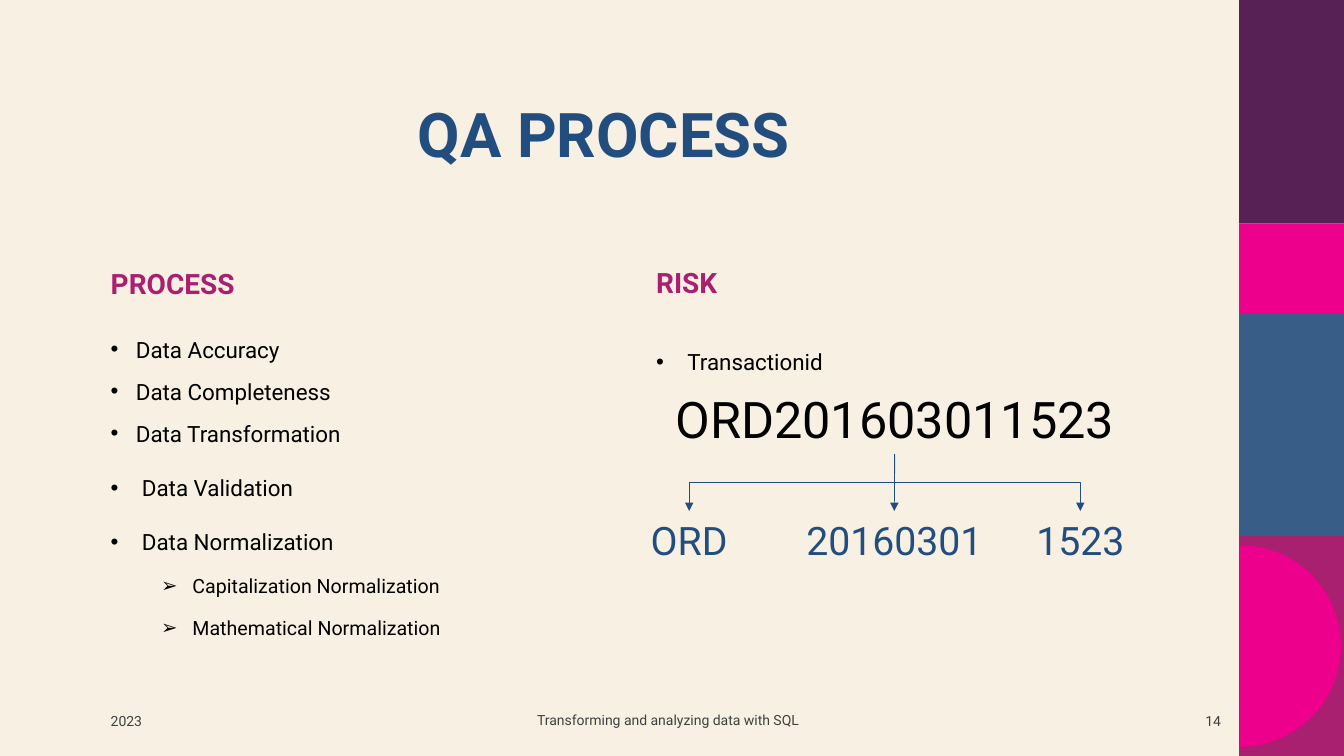
import math
from dataclasses import dataclass
from typing import Optional, Union

from lxml import etree
from pptx import Presentation
from pptx import util as u
from pptx.dml import color
from pptx.enum import shapes, text
from pptx.oxml import ns

CREAM, NAVY, BERRY = "F8F0E3", "224E7F", "AA2070"
PINK, BLACK, GRAY = "EC008C", "000000", "404040"
TOP, MIDDLE = text.MSO_ANCHOR.TOP, text.MSO_ANCHOR.MIDDLE
LEFT, CENTER, RIGHT = text.PP_ALIGN.LEFT, text.PP_ALIGN.CENTER, text.PP_ALIGN.RIGHT


@dataclass(frozen=True)
class Band:
    top: float
    height: float
    fill: str


@dataclass(frozen=True)
class Line:
    words: str
    size: int
    color: str = BLACK
    bold: bool = False
    align: text.PP_ALIGN = LEFT
    spacing: Union[float, u.Length] = 1.0
    before: int = 0
    bullet: str = ""
    margin: float = 0
    hanging: float = 0
    level: int = 0


@dataclass(frozen=True)
class Block:
    left: float
    top: float
    width: float
    height: float
    lines: tuple
    anchor: text.MSO_ANCHOR = TOP
    wrap: bool = True
    grow: bool = False


def rgb(value: str) -> color.RGBColor:
    return color.RGBColor.from_string(value)


def apply(target, values: dict) -> None:
    for name, value in values.items():
        setattr(target, name, value)


def paint(shape, fill: str) -> None:
    shape.shadow.inherit = False
    shape.fill.solid()
    shape.fill.fore_color.rgb = rgb(fill)
    shape.line.fill.background()


def write_line(paragraph, line: Line) -> None:
    apply(paragraph, {
        "alignment": line.align, "line_spacing": line.spacing,
        "space_before": u.Pt(line.before), "level": line.level,
    })
    run = paragraph.add_run()
    run.text = line.words
    apply(run.font, {"name": "Roboto", "size": u.Pt(line.size), "bold": line.bold})
    run.font.color.rgb = rgb(line.color)
    if line.bullet:
        properties = paragraph._p.get_or_add_pPr()
        properties.set("marL", str(u.Inches(line.margin)))
        properties.set("indent", str(u.Inches(-line.hanging)))
        font = etree.SubElement(properties, ns.qn("a:buFont"))
        font.set("typeface", "Arial")
        bullet = etree.SubElement(properties, ns.qn("a:buChar"))
        bullet.set("char", line.bullet)


def fill_block(shape, block: Block) -> None:
    apply(shape, {name: u.Inches(getattr(block, name))
                  for name in ("left", "top", "width", "height")})
    frame = shape.text_frame
    size = text.MSO_AUTO_SIZE.SHAPE_TO_FIT_TEXT if block.grow else text.MSO_AUTO_SIZE.NONE
    apply(frame, {"word_wrap": block.wrap, "vertical_anchor": block.anchor, "auto_size": size})
    for index, line in enumerate(block.lines):
        paragraph = frame.add_paragraph() if index else frame.paragraphs[0]
        write_line(paragraph, line)


def add_block(slide, block: Block):
    shape = slide.shapes.add_textbox(0, 0, u.Inches(1), u.Inches(1))
    fill_block(shape, block)
    return shape


def add_band(slide, band: Band) -> None:
    shape = slide.shapes.add_shape(
        shapes.MSO_SHAPE.RECTANGLE, u.Inches(12.29), u.Inches(band.top),
        u.Inches(1.11), u.Inches(band.height))
    paint(shape, band.fill)


def add_half_disc(slide, left: float, middle: float, radius: float) -> None:
    steps = 90
    angles = [math.pi * step / steps - math.pi / 2 for step in range(steps + 1)]
    points = [(u.Inches(left + radius * math.cos(angle)),
               u.Inches(middle + radius * math.sin(angle))) for angle in angles]
    builder = slide.shapes.build_freeform(*points[0])
    builder.add_line_segments(points[1:], close=True)
    paint(builder.convert_to_shape(), PINK)


def style_arrow(connector) -> None:
    connector.line.color.rgb = rgb(NAVY)
    connector.line.width = u.Pt(0.5)
    tail = etree.SubElement(connector.line._get_or_add_ln(), ns.qn("a:tailEnd"))
    tail.set("type", "triangle")
    etree.SubElement(connector._element.spPr, ns.qn("a:effectLst"))


def add_straight_arrow(slide, source, target) -> None:
    connector = slide.shapes.add_connector(shapes.MSO_CONNECTOR.STRAIGHT, 0, 0, 0, 0)
    connector.begin_connect(source, 2)
    connector.end_connect(target, 0)
    style_arrow(connector)


def add_branch(slide, start: float, end: float, top: float, bottom: float) -> None:
    center, middle = (start + end) / 2, (top + bottom) / 2
    drop, span = bottom - top, abs(end - start)
    side = 1 if end > start else -1
    connector = slide.shapes.add_connector(
        shapes.MSO_CONNECTOR.ELBOW,
        u.Inches(center + side * drop / 2), u.Inches(middle - span / 2),
        u.Inches(center - side * drop / 2), u.Inches(middle + span / 2))
    turn = 270 if side > 0 else 90
    connector._element.spPr.find(ns.qn("a:xfrm")).set("rot", str(turn * 60000))
    style_arrow(connector)


def heading(words: str) -> Line:
    return Line(words, 20, BERRY, bold=True, spacing=0.9, before=10)


def tight(words: str) -> Line:
    return Line(words, 16, spacing=u.Pt(20), before=10, bullet="•", margin=0.25, hanging=0.25)


def loose(words: str) -> Line:
    return Line(words, 16, spacing=1.5, before=10, bullet="•", margin=0.31, hanging=0.31)


def nested(words: str) -> Line:
    return Line(words, 14, spacing=1.5, before=5, bullet="➢", margin=0.81, hanging=0.31, level=1)


def part(words: str, left: float, width: float) -> Block:
    return Block(left, 5.07, width, 0.57, (Line(words, 28, NAVY, align=CENTER),), grow=True)


def footer(words: str, left: float, top: float, width: float, align: text.PP_ALIGN) -> Block:
    return Block(left, top, width, 0.4, (Line(words, 10, GRAY, align=align),), MIDDLE)


BANDS = (Band(5.28, 2.22, BERRY), Band(3.1, 2.22, "385E88"),
         Band(0, 2.22, "582156"), Band(2.22, 0.89, PINK))
TITLE = Block(1, 0.98, 9.98, 1.49,
              (Line("QA PROCESS", 44, NAVY, bold=True, align=CENTER, spacing=0.9),))
PROCESS = (
    *map(tight, ("Data Accuracy", "Data Completeness", "Data Transformation")),
    *map(loose, ("Data Validation", "Data Normalization")),
    *map(nested, ("Capitalization Normalization", "Mathematical Normalization")),
)
BLOCKS = (
    Block(1, 2.58, 4.7, 0.5, (heading("PROCESS"),), MIDDLE),
    Block(1, 3.27, 4.7, 3.4, PROCESS),
    Block(6.41, 2.57, 4.7, 0.5, (heading("RISK"),), MIDDLE),
    Block(6.41, 3.27, 4.7, 0.5, (loose("Transactionid"),)),
    footer("2023", 1, 6.95, 1.2, LEFT),
    footer("Transforming and analyzing data with SQL", 1.75, 6.94, 9.75, CENTER),
    footer("14", 11.71, 6.95, 0.5, RIGHT),
)
TRANSACTION = Block(6.46, 3.8, 4.83, 0.71,
                    (Line("ORD201603011523", 36, align=CENTER),), wrap=False, grow=True)
DATE_PART = part("20160301", 7.85, 2.04)
SIDE_PARTS = (part("ORD", 6.15, 1.37), part("1523", 10.03, 1.37))


def main() -> None:
    presentation = Presentation()
    apply(presentation, {"slide_width": u.Inches(13.33), "slide_height": u.Inches(7.5)})
    slide = presentation.slides.add_slide(presentation.slide_layouts[5])
    slide.background.fill.solid()
    slide.background.fill.fore_color.rgb = rgb(CREAM)
    for band in BANDS:
        add_band(slide, band)
    add_half_disc(slide, 12.3, 6.41, 1)
    fill_block(slide.shapes.title, TITLE)
    for block in BLOCKS:
        add_block(slide, block)
    transaction = add_block(slide, TRANSACTION)
    date_part = add_block(slide, DATE_PART)
    for block in SIDE_PARTS:
        add_block(slide, block)
        add_branch(slide, 8.87, block.left + block.width / 2, 4.5, block.top)
    add_straight_arrow(slide, transaction, date_part)
    presentation.save("out.pptx")


if __name__ == "__main__":
    main()
